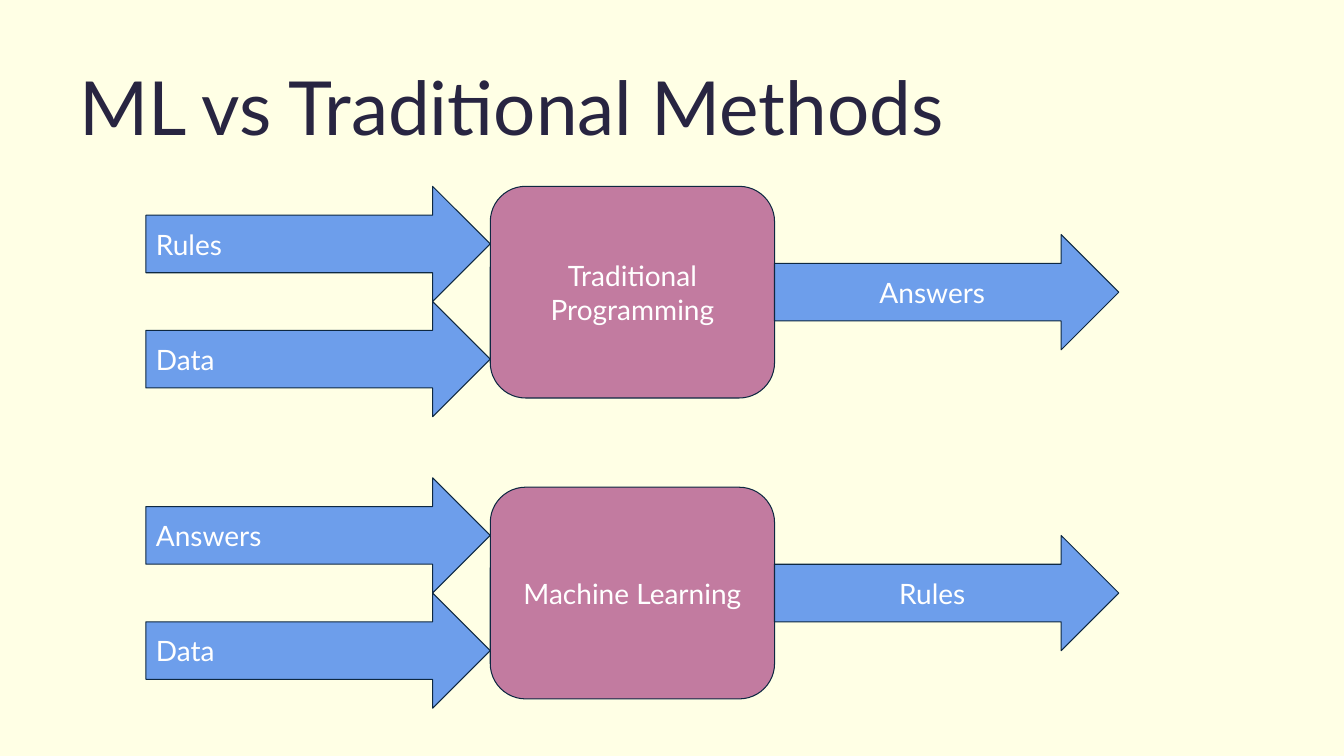
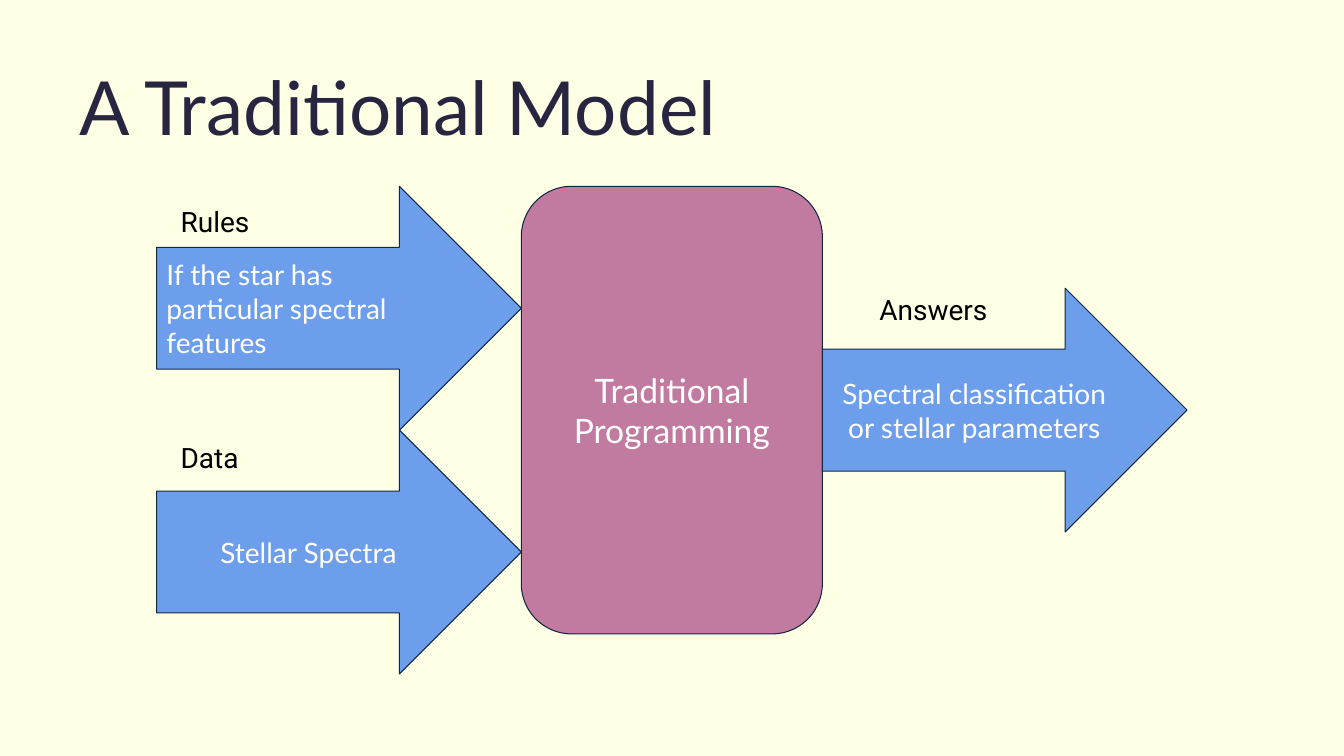
from dataclasses import dataclass
from typing import NamedTuple

from pptx import Presentation
from pptx.dml.color import RGBColor as RGB
from pptx.enum.shapes import MSO_SHAPE as SHAPE
from pptx.enum.text import MSO_ANCHOR as ANCHOR, PP_ALIGN as ALIGN
from pptx.util import Inches, Pt

WIDE, HIGH = Inches(13.333), Inches(7.5)


@dataclass(frozen=True)
class Theme:
    page: str = "FFFFE5"
    title: str = "282541"
    block: str = "C27BA0"
    arrow: str = "6D9EEB"
    edge: str = "0E2841"
    light: str = "FFFFFF"
    dark: str = "000000"
    font: str = "Lato"
    tag_font: str = "Roboto"
    head: float = 53.3
    large: float = 24
    body: float = 20
    line: float = 0.75
    inset: float = 0.1


THEME = Theme()


class Box(NamedTuple):
    """Left, top, width and height as percent of the slide's size."""
    x: float
    y: float
    w: float
    h: float

    def place(self):
        sides = (WIDE, HIGH, WIDE, HIGH)
        return [round(side * share / 100) for side, share in zip(sides, self)]


def write(shape, text, size=THEME.body, color=THEME.light, font=THEME.font,
          align=ALIGN.LEFT, anchor=ANCHOR.MIDDLE, inset=THEME.inset):
    frame = shape.text_frame
    frame.text = text
    form = {"word_wrap": True, "vertical_anchor": anchor}
    for side in ("left", "top", "right", "bottom"):
        form[f"margin_{side}"] = Inches(inset)
    for name, value in form.items():
        setattr(frame, name, value)
    para = frame.paragraphs[0]
    para.alignment = align
    style = para.runs[0].font
    for name, value in {"name": font, "size": Pt(size)}.items():
        setattr(style, name, value)
    style.color.rgb = RGB.from_string(color)
    return para


def draw(slide, kind, box, fill, text, bends, **form):
    shape = slide.shapes.add_shape(kind, *box.place())
    shape.shadow.inherit = False
    for spot, bend in enumerate(bends):
        shape.adjustments[spot] = bend
    shape.fill.solid()
    shape.fill.fore_color.rgb = RGB.from_string(fill)
    shape.line.color.rgb = RGB.from_string(THEME.edge)
    shape.line.width = Pt(THEME.line)
    write(shape, text, **form)


def arrow(slide, box, text, align):
    draw(slide, SHAPE.RIGHT_ARROW, box, THEME.arrow, text, (0.5, 0.5),
         align=align)


def tag(slide, box, text, dx, dy):
    """Label an arrow, offset from the corner of its box."""
    spot = Box(box.x + dx, box.y + dy, 10.5, 6.8)
    write(slide.shapes.add_textbox(*spot.place()), text, color=THEME.dark,
          font=THEME.tag_font, anchor=ANCHOR.TOP)


def flow(slide, first, size, inputs, name, output, drop=0, large=THEME.body):
    """Stack input arrows from the first box; return the boxes of all arrows."""
    wide, high = size
    block = Box(first.x + first.w, first.y + drop, wide, high)
    draw(slide, SHAPE.ROUNDED_RECTANGLE, block, THEME.block, name, (0.167,),
         size=large, align=ALIGN.CENTER)
    boxes = [first._replace(y=first.y + row * first.h)
             for row in range(len(inputs))]
    boxes.append(first._replace(x=block.x + wide,
                                y=block.y + (high - first.h) / 2))
    for box, (text, align) in zip(boxes, [*inputs, (output, ALIGN.CENTER)]):
        arrow(slide, box, text, align)
    return boxes


def start(deck, title):
    slide = deck.slides.add_slide(deck.slide_layouts[5])
    head = slide.shapes.title
    spot = Box(5.9, 9.45, 87.3, 15.2).place()
    for name, value in zip(("left", "top", "width", "height"), spot):
        setattr(head, name, value)
    para = write(head, title, size=THEME.head, color=THEME.title,
                 anchor=ANCHOR.TOP, inset=0)
    para.line_spacing = 0.9
    return slide


def compare(deck):
    slide = start(deck, "ML vs Traditional Methods")
    rows = (
        (24.65, 0, ("Rules", "Data"), "Traditional Programming", "Answers"),
        (63.2, 1.25, ("Answers", "Data"), "Machine Learning", "Rules"),
    )
    for top, drop, texts, name, output in rows:
        inputs = [(text, ALIGN.LEFT) for text in texts]
        flow(slide, Box(10.86, top, 25.62, 15.24), (21.15, 28), inputs,
             name, output, drop)


def model(deck):
    slide = start(deck, "A Traditional Model")
    inputs = (("If the star has particular spectral features", ALIGN.LEFT),
              ("Stellar Spectra", ALIGN.CENTER))
    boxes = flow(slide, Box(11.65, 24.65, 27.14, 32.25), (22.4, 59.2), inputs,
                 "Traditional Programming",
                 "Spectral classification or stellar parameters",
                 large=THEME.large)
    tags = (("Rules", 1.05, 1.05), ("Data", 1.05, 0), ("Answers", 3.5, -0.8))
    for box, (text, dx, dy) in zip(boxes, tags):
        tag(slide, box, text, dx, dy)


def main():
    deck = Presentation()
    deck.slide_width, deck.slide_height = WIDE, HIGH
    page = deck.slide_master.background.fill
    page.solid()
    page.fore_color.rgb = RGB.from_string(THEME.page)
    compare(deck)
    model(deck)
    deck.save("out.pptx")


if __name__ == "__main__":
    main()
